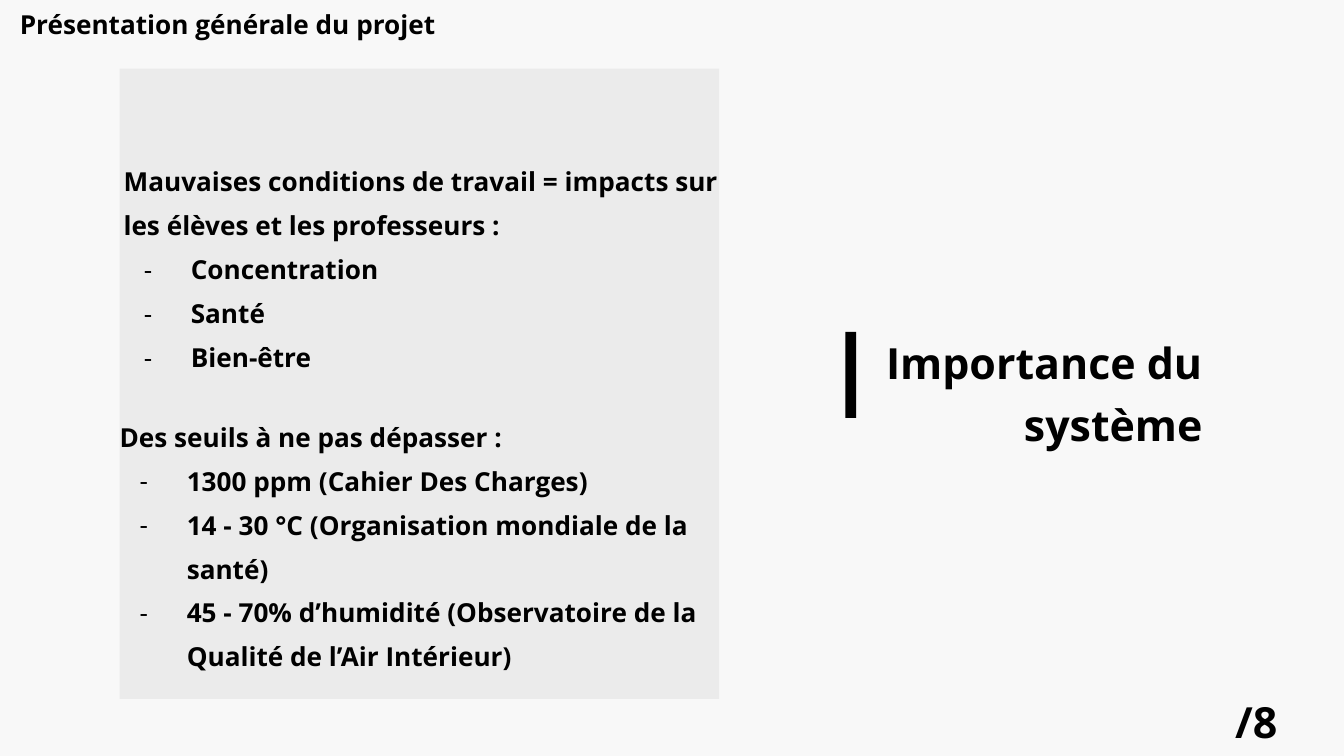
"""Build the slide on why the air monitoring system matters."""
from lxml import etree
from pptx import Presentation
from pptx.dml.color import RGBColor
from pptx.enum import shapes, text
from pptx.oxml import ns
from pptx.util import Inches, Pt

BLACK = RGBColor(0x00, 0x00, 0x00)
BACKGROUND = RGBColor(0xF8, 0xF8, 0xF8)
FONT = "Open Sans"
LEFT, CENTER, RIGHT = text.PP_ALIGN.LEFT, text.PP_ALIGN.CENTER, text.PP_ALIGN.RIGHT


def add_block(box, lines, size, spacing=1.4, align=LEFT):
    """Add a text box whose lines after the first are dashed items."""
    frame = slide.shapes.add_textbox(*map(Inches, box)).text_frame
    frame.word_wrap = True
    frame.auto_size = text.MSO_AUTO_SIZE.SHAPE_TO_FIT_TEXT
    frame.margin_left = frame.margin_top = frame.margin_right = frame.margin_bottom = 0
    for index, line in enumerate(lines):
        paragraph = frame.paragraphs[0] if index == 0 else frame.add_paragraph()
        paragraph.text = line
        paragraph.alignment = align
        paragraph.line_spacing = spacing
        if index > 0:
            properties = paragraph._p.get_or_add_pPr()
            properties.set("marL", str(Inches(0.5)))
            properties.set("indent", str(Inches(-0.35)))
            dash_color = etree.SubElement(properties, ns.qn("a:buClr"))
            etree.SubElement(dash_color, ns.qn("a:srgbClr"), val=str(BLACK))
            etree.SubElement(properties, ns.qn("a:buFont"), typeface=FONT)
            etree.SubElement(properties, ns.qn("a:buChar"), char="-")
        paragraph.font.name = FONT
        paragraph.font.size = Pt(size)
        paragraph.font.bold = True
        paragraph.font.color.rgb = BLACK


def add_bar(box, rotation):
    """Add a plain black rectangle."""
    bar = slide.shapes.add_shape(shapes.MSO_SHAPE.RECTANGLE, *map(Inches, box))
    bar.rotation = rotation
    bar.shadow.inherit = False
    bar.fill.solid()
    bar.fill.fore_color.rgb = BLACK
    bar.line.fill.background()
    return bar


deck = Presentation()
deck.slide_width = Inches(10)
deck.slide_height = deck.slide_width * 9 // 16
slide = deck.slides.add_slide(deck.slide_layouts[6])
slide.background.fill.solid()
slide.background.fill.fore_color.rgb = BACKGROUND

panel = add_bar((0.89, 0.51, 4.46, 4.69), 180)
panel_color = panel._element.spPr.find(".//" + ns.qn("a:srgbClr"))
etree.SubElement(panel_color, ns.qn("a:alpha"), val="5000")

add_block((6, 2.43, 2.95, 0.85), ["Importance du système"], 23, 1.2, RIGHT)
add_bar((6.01, 2.75, 0.64, 0.08), 270)
add_block((9.19, 5.02, 0.5, 0.39), ["/8"], 23)
add_block((0.09, -0.03, 3.21, 0.24), ["Présentation générale du projet"], 14, align=CENTER)

effects = [
    "Mauvaises conditions de travail = impacts sur les élèves et les professeurs :",
    "Concentration",
    "Santé",
    "Bien-être",
]
thresholds = [
    "Des seuils à ne pas dépasser :",
    "1300 ppm (Cahier Des Charges)",
    "14 - 30 °C (Organisation mondiale de la santé)",
    "45 - 70% d’humidité (Observatoire de la Qualité de l’Air Intérieur)",
]
add_block((0.92, 1.14, 4.46, 1.56), effects, 14)
add_block((0.89, 3.04, 4.46, 1.89), thresholds, 14)

deck.save("out.pptx")
